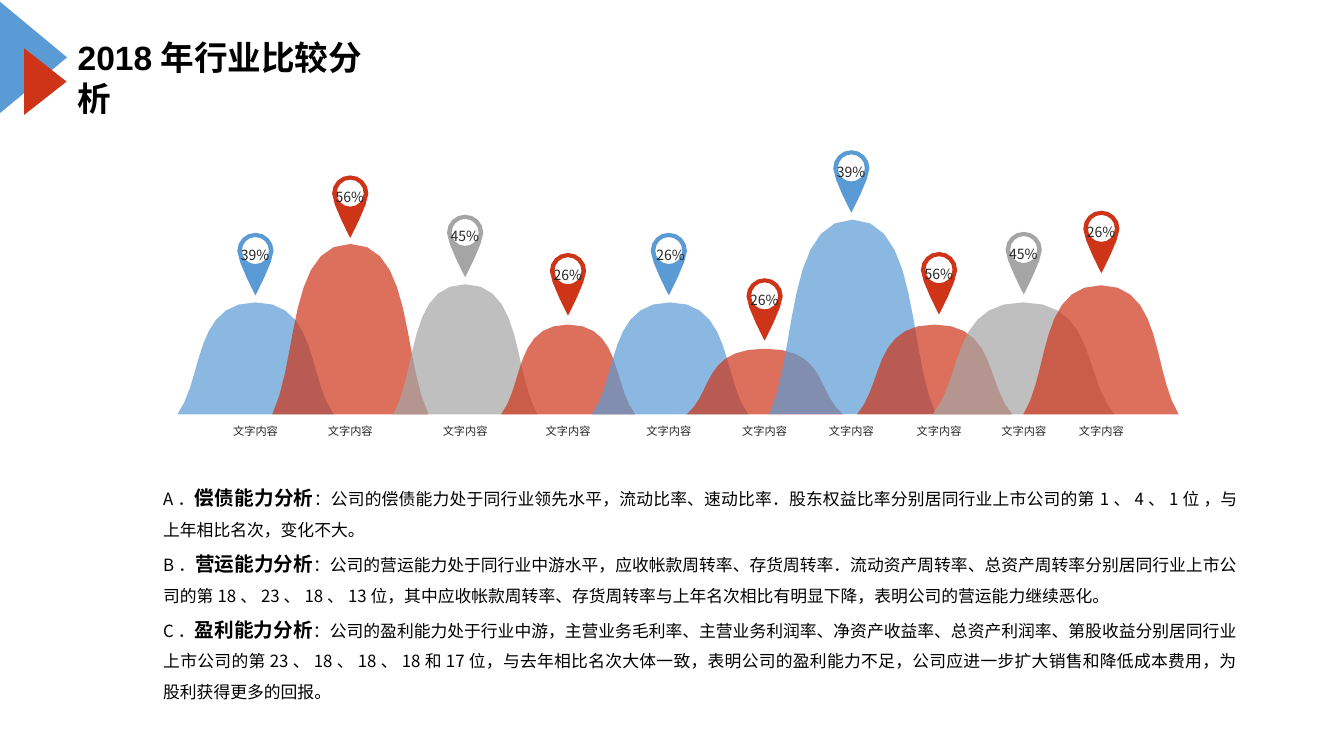
from dataclasses import dataclass

from lxml.etree import SubElement
from pptx import Presentation
from pptx.dml.color import RGBColor
from pptx.enum.shapes import MSO_SHAPE
from pptx.enum.text import MSO_AUTO_SIZE, PP_ALIGN
from pptx.oxml.ns import qn
from pptx.shapes.base import BaseShape
from pptx.slide import Slide
from pptx.text.text import TextFrame, _Paragraph
from pptx.util import Emu, Pt

EMU_PER_PX = 9144
BLUE, RED, GRAY = "5B9BD5", "CE3418", "A5A5A5"
BLACK, DARK = "000000", "262626"
CJK_FONT = "Noto Sans CJK SC"
BASELINE = 411
PIN_STEPS = 4
HILL_STEPS = 10

Point = tuple[float, float]


@dataclass(frozen=True)
class Box:
    left: int
    top: int
    width: int
    height: int


@dataclass(frozen=True)
class Pin:
    center: int
    top: int
    percent: str
    color: str
    text_shift: int = 0


@dataclass(frozen=True)
class Hill:
    left: int
    top: int
    width: int
    color: str


@dataclass(frozen=True)
class Finding:
    letter: str
    heading: str
    body: str


PINS = [
    Pin(563, 251, "26%", RED),
    Pin(347, 174, "56%", RED),
    Pin(461, 213, "45%", GRAY),
    Pin(253, 231, "39%", BLUE),
    Pin(1092, 209, "26%", RED),
    Pin(931, 250, "56%", RED),
    Pin(1015, 230, "45%", GRAY),
    Pin(844, 149, "39%", BLUE),
    Pin(663, 231, "26%", BLUE, 2),
    Pin(758, 276, "26%", RED),
]
HILLS = [
    Hill(176, 300, 155, BLUE),
    Hill(270, 242, 155, RED),
    Hill(390, 282, 143, GRAY),
    Hill(497, 322, 133, RED),
    Hill(587, 300, 155, BLUE),
    Hill(681, 346, 155, RED),
    Hill(763, 218, 165, BLUE),
    Hill(850, 322, 154, RED),
    Hill(925, 300, 180, GRAY),
    Hill(1015, 283, 154, RED),
]
FINDINGS = [
    Finding("A．", "偿债能力分析", "：公司的偿债能力处于同行业领先水平，流动比率、速动比率．股东权益比率分别居同行业上市公司的第1、4、1位 ，与上年相比名次，变化不大。"),
    Finding("B．", "营运能力分析", "：公司的营运能力处于同行业中游水平，应收帐款周转率、存货周转率．流动资产周转率、总资产周转率分别居同行业上市公司的第18、23、18、13位，其中应收帐款周转率、存货周转率与上年名次相比有明显下降，表明公司的营运能力继续恶化。"),
    Finding("C．", "盈利能力分析", "：公司的盈利能力处于行业中游，主营业务毛利率、主营业务利润率、净资产收益率、总资产利润率、第股收益分别居同行业上市公司的第23、18、18、18和17位，与去年相比名次大体一致，表明公司的盈利能力不足，公司应进一步扩大销售和降低成本费用，为股利获得更多的回报。"),
]
PIN_SIDE = [
    [(0, 0), (-10, 0), (-18, 8), (-18, 18)],
    [(-18, 18), (-18, 28), (0, 62), (0, 62)],
]
PIN_HOLE_SIDE = [
    [(0, 31), (-7.4, 31), (-13.4, 25), (-13.4, 17.6)],
    [(-13.4, 17.6), (-13.4, 10.2), (-7.4, 4.2), (0, 4.2)],
]
HILL_SIDE = [[(-0.5, 1), (-0.33, 0.67), (-0.4, 0), (0, 0)]]


def px(length: float) -> Emu:
    return Emu(round(length * EMU_PER_PX))


def rgb(color: str) -> RGBColor:
    return RGBColor.from_string(color)


def bezier(curve: list[Point], t: float) -> Point:
    weights = ((1 - t) ** 3, 3 * t * (1 - t) ** 2, 3 * t**2 * (1 - t), t**3)
    return (
        sum(weight * x for weight, (x, _) in zip(weights, curve)),
        sum(weight * y for weight, (_, y) in zip(weights, curve)),
    )


def symmetric_outline(side: list[list[Point]], steps: int) -> list[Point]:
    points = [bezier(curve, step / steps) for curve in side for step in range(steps)]
    mirrored = [(-x, y) for x, y in reversed(points) if x]
    return points + [side[-1][-1]] + mirrored


def paint(shape: BaseShape, color: str) -> None:
    shape.shadow.inherit = False
    shape.fill.solid()
    shape.fill.fore_color.rgb = rgb(color)
    shape.line.fill.background()


def add_outline(slide: Slide, contours: list[list[Point]], center: float, top: int,
                x_scale: float, y_scale: float, color: str) -> BaseShape:
    placed = [[(px(center + x * x_scale), px(top + y * y_scale)) for x, y in contour]
              for contour in contours]
    builder = slide.shapes.build_freeform(*placed[0][0])
    for index, contour in enumerate(placed):
        if index:
            builder.move_to(*contour[0])
        builder.add_line_segments(contour[1:], close=True)
    shape = builder.convert_to_shape()
    paint(shape, color)
    return shape


def add_triangle(slide: Slide, box: Box, color: str) -> None:
    shape = slide.shapes.add_shape(MSO_SHAPE.ISOSCELES_TRIANGLE, px(box.left), px(box.top),
                                   px(box.width), px(box.height))
    shape.rotation = 90
    paint(shape, color)


def add_text_frame(slide: Slide, box: Box, wrap: bool, inset_x: int, inset_y: int) -> TextFrame:
    shape = slide.shapes.add_textbox(px(box.left), px(box.top), px(box.width), px(box.height))
    frame = shape.text_frame
    frame.word_wrap = wrap
    frame.auto_size = MSO_AUTO_SIZE.SHAPE_TO_FIT_TEXT
    frame.margin_left = frame.margin_right = px(inset_x)
    frame.margin_top = frame.margin_bottom = px(inset_y)
    return frame


def style(paragraph: _Paragraph, size: int, color: str, alignment: PP_ALIGN, spacing: float) -> None:
    paragraph.alignment = alignment
    paragraph.line_spacing = spacing
    paragraph.font.size = Pt(size)
    paragraph.font.color.rgb = rgb(color)
    paragraph.font.name = CJK_FONT


def add_label(slide: Slide, box: Box, text: str, size: int, wrap: bool, inset_x: int, inset_y: int) -> None:
    paragraph = add_text_frame(slide, box, wrap, inset_x, inset_y).paragraphs[0]
    paragraph.text = text
    style(paragraph, size, DARK, PP_ALIGN.CENTER, 1.2)


def add_pin(slide: Slide, pin: Pin) -> None:
    contours = [symmetric_outline(side, PIN_STEPS) for side in (PIN_SIDE, PIN_HOLE_SIDE)]
    add_outline(slide, contours, pin.center + 0.4, pin.top, 1, 1, pin.color)
    box = Box(pin.center - 24 + pin.text_shift, pin.top + 5, 48, 30)
    add_label(slide, box, pin.percent, 10, False, 10, 5)


def add_hill(slide: Slide, hill: Hill) -> None:
    shape = add_outline(slide, [symmetric_outline(HILL_SIDE, HILL_STEPS)], hill.left + hill.width / 2,
                        hill.top, hill.width, BASELINE - hill.top, hill.color)
    fill_color = shape._element.spPr.find(qn("a:solidFill")).find(qn("a:srgbClr"))
    SubElement(fill_color, qn("a:alpha")).set("val", "70000")


def add_title(slide: Slide) -> None:
    paragraph = add_text_frame(slide, Box(77, 37, 308, 40), True, 0, 0).paragraphs[0]
    paragraph.text = "2018年行业比较分析"
    paragraph.font.name = "Arial"
    paragraph.font.size = Pt(24)
    paragraph.font.bold = True
    paragraph.font.color.rgb = rgb(BLACK)


def add_findings(slide: Slide) -> None:
    frame = add_text_frame(slide, Box(152, 466, 1085, 237), True, 10, 5)
    for index, finding in enumerate(FINDINGS):
        paragraph = frame.add_paragraph() if index else frame.paragraphs[0]
        style(paragraph, 12, BLACK, PP_ALIGN.JUSTIFY, 1.5)
        paragraph.add_run().text = finding.letter
        heading = paragraph.add_run()
        heading.text = finding.heading
        heading.font.size = Pt(14)
        heading.font.bold = True
        paragraph.add_run().text = finding.body


def main() -> None:
    presentation = Presentation()
    presentation.slide_width = px(1333)
    presentation.slide_height = px(750)
    slide = presentation.slides.add_slide(presentation.slide_layouts[6])
    add_triangle(slide, Box(-24, 23, 113, 68), BLUE)
    add_title(slide)
    add_triangle(slide, Box(12, 60, 66, 42), RED)
    for pin in PINS:
        add_pin(slide, pin)
    for hill in HILLS:
        add_hill(slide, hill)
    for pin in PINS:
        add_label(slide, Box(pin.center - 46, 412, 93, 27), "文字内容", 8, True, 12, 6)
    add_findings(slide)
    presentation.save("out.pptx")


if __name__ == "__main__":
    main()
